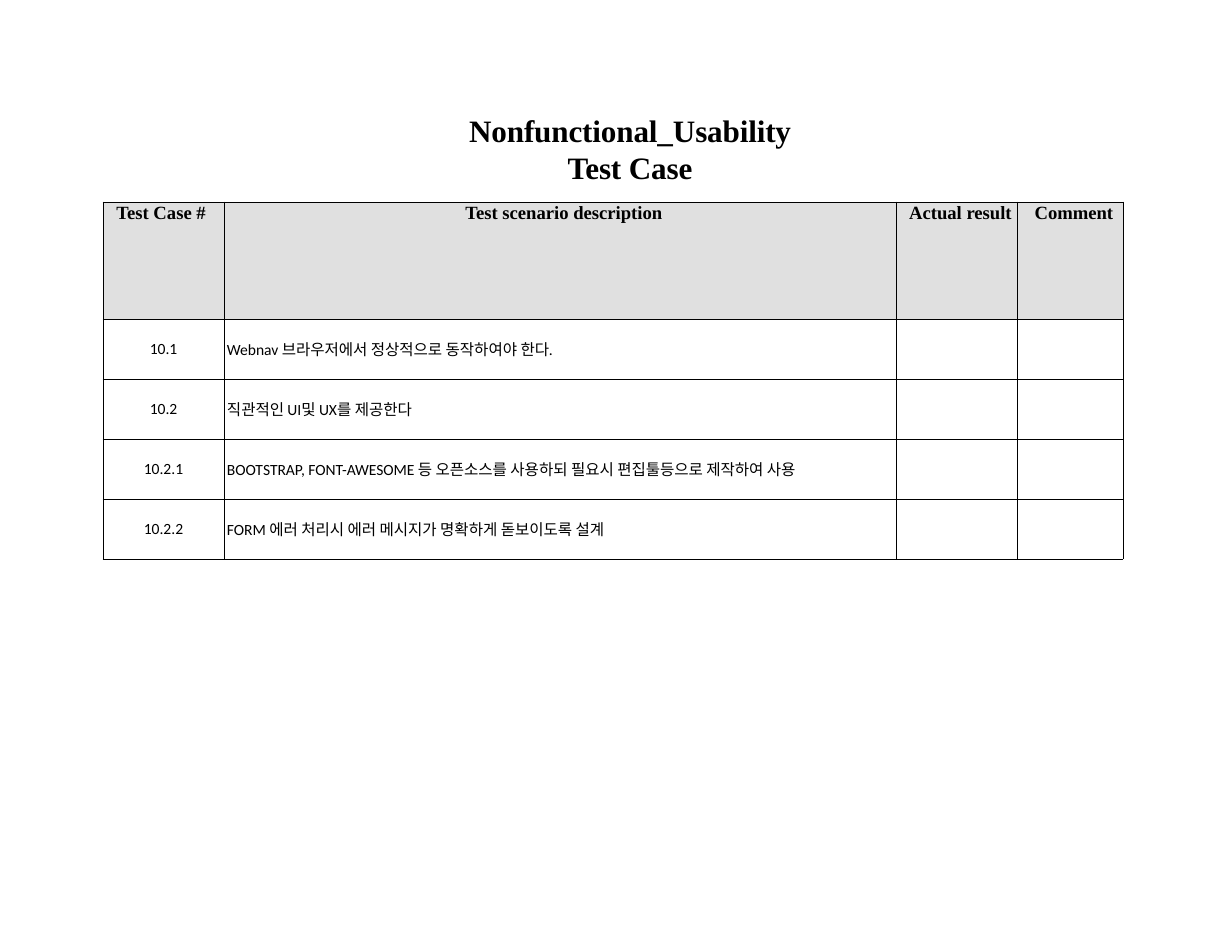
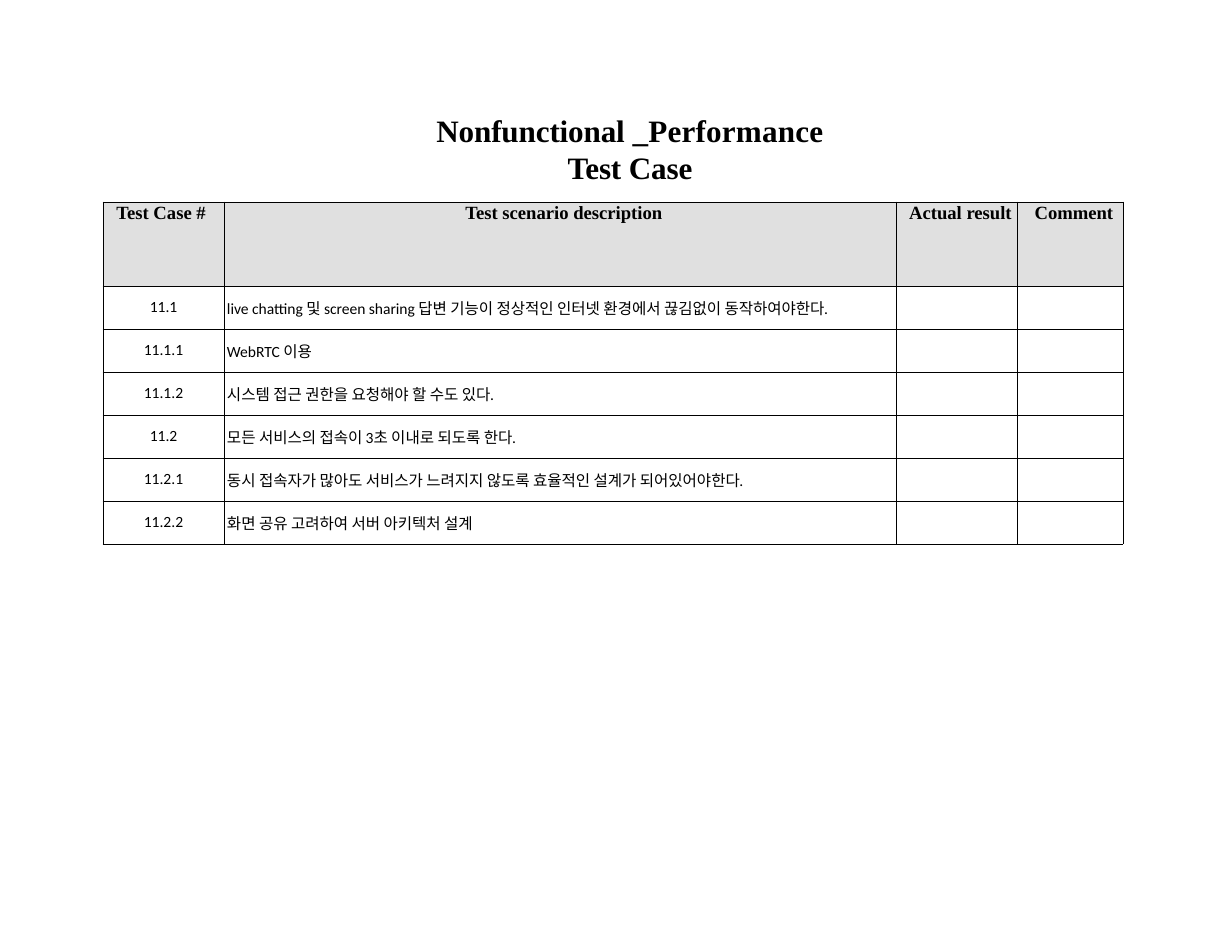
from lxml import etree
from pptx import Presentation, util as u
from pptx.dml.color import RGBColor
from pptx.enum import text
from pptx.oxml.ns import qn

# Content: title parts are (text, letter spacing in 1/100 pt), "\n" is a line break
HEADERS = ["Test Case # ", "Test scenario description", "Actual result", "Comment"]
SLIDES = [
    {
        "title": [("Nonfunctional_Usability", -10), ("\n", 0), ("Test Case", -10)],
        "header_h": 117,
        "row_h": 60,
        "cases": [
            ("10.1", "Webnav 브라우저에서 정상적으로 동작하여야 한다."),
            ("10.2", "직관적인 UI및 UX를 제공한다"),
            ("10.2.1", "BOOTSTRAP, FONT-AWESOME 등 오픈소스를 사용하되 필요시 편집툴등으로 제작하여 사용"),
            ("10.2.2", "FORM 에러 처리시 에러 메시지가 명확하게 돋보이도록 설계"),
        ],
    },
    {
        "title": [("Nonfunctional", -10), (" _Performance ", 10), ("Test Case", -10)],
        "header_h": 84,
        "row_h": 43,
        "cases": [
            ("11.1", "live chatting 및 screen sharing 답변 기능이 정상적인 인터넷 환경에서 끊김없이 동작하여야한다."),
            ("11.1.1", "WebRTC 이용"),
            ("11.1.2", "시스템 접근 권한을 요청해야 할 수도 있다."),
            ("11.2", "모든 서비스의 접속이 3초 이내로 되도록 한다."),
            ("11.2.1", "동시 접속자가 많아도 서비스가 느려지지 않도록 효율적인 설계가 되어있어야한다."),
            ("11.2.2", "화면 공유 고려하여 서버 아키텍처 설계"),
        ],
    },
]

# Shared style
COLORS = {"ink": "000000", "header": "E0E0E0"}
SERIF, SANS = "Times New Roman", "Calibri"
TITLE_BOX = (420, 110, 420, 77)
TABLE_LEFT, TABLE_TOP = 103, 202
COL_WIDTHS = [121, 672, 121, 106]
CENTER, LEFT = text.PP_ALIGN.CENTER, text.PP_ALIGN.LEFT


def px(n):
    return u.Emu(round(n * 914400 / 112))


def rgb(name):
    return RGBColor.from_string(COLORS[name])


def set_font(p, name, size, bold):
    p.font.name, p.font.size, p.font.bold = name, u.Pt(size), bold
    p.font.color.rgb = rgb("ink")


def set_margins(obj, side=0, top=0):
    obj.margin_left = obj.margin_right = px(side)
    obj.margin_top, obj.margin_bottom = px(top), 0


def add_borders(cell):
    tc_pr = cell._tc.get_or_add_tcPr()
    for side in ("a:lnL", "a:lnR", "a:lnT", "a:lnB"):
        ln = etree.SubElement(tc_pr, qn(side), w=str(u.Pt(0.5)))
        fill = etree.SubElement(ln, qn("a:solidFill"))
        etree.SubElement(fill, qn("a:srgbClr"), val=COLORS["ink"])


def add_title(s, parts):
    sp = s.shapes.title
    sp.left, sp.top, sp.width, sp.height = map(px, TITLE_BOX)
    tf = sp.text_frame
    tf.word_wrap = True
    tf.auto_size = text.MSO_AUTO_SIZE.SHAPE_TO_FIT_TEXT
    tf.vertical_anchor = text.MSO_ANCHOR.TOP
    set_margins(tf, top=1)
    p = tf.paragraphs[0]
    p.alignment, p.space_before = CENTER, u.Pt(0.9)
    set_font(p, SERIF, 20, True)
    for part, spacing in parts:
        if part == "\n":
            p.add_line_break()
        else:
            r = p.add_run()
            r.text = part
            r.font._element.set("spc", str(spacing))


def fill_header(cell, label, col):
    set_margins(cell)
    cell.fill.solid()
    cell.fill.fore_color.rgb = rgb("header")
    p = cell.text_frame.paragraphs[0]
    p.text, p.alignment, p.line_spacing = label, CENTER, u.Pt(13.8)
    set_font(p, SERIF, 12, True)
    if col:
        p._p.get_or_add_pPr().set("marL", str(px(8)))


def fill_body(cell, value, col):
    set_margins(cell, side=3)
    cell.vertical_anchor = text.MSO_ANCHOR.MIDDLE
    cell.fill.background()
    p = cell.text_frame.paragraphs[0]
    p.text, p.alignment = value, LEFT if col else CENTER
    set_font(p, SANS, 10, False)


def add_cases(s, data):
    rows = [HEADERS] + [(*case, "", "") for case in data["cases"]]
    heights = [data["header_h"]] + [data["row_h"]] * len(data["cases"])
    box = (TABLE_LEFT, TABLE_TOP, sum(COL_WIDTHS), sum(heights))
    table = s.shapes.add_table(len(rows), len(HEADERS), *map(px, box)).table
    table.first_row = table.horz_banding = False
    for column, width in zip(table.columns, COL_WIDTHS):
        column.width = px(width)
    for i, (values, height) in enumerate(zip(rows, heights)):
        table.rows[i].height = px(height)
        for col, value in enumerate(values):
            cell = table.cell(i, col)
            add_borders(cell)
            (fill_body if i else fill_header)(cell, value, col)


def main():
    prs = Presentation()
    prs.slide_width, prs.slide_height = px(1232), px(952)
    for data in SLIDES:
        s = prs.slides.add_slide(prs.slide_layouts[5])
        add_title(s, data["title"])
        add_cases(s, data)
    prs.save("out.pptx")


if __name__ == "__main__":
    main()
